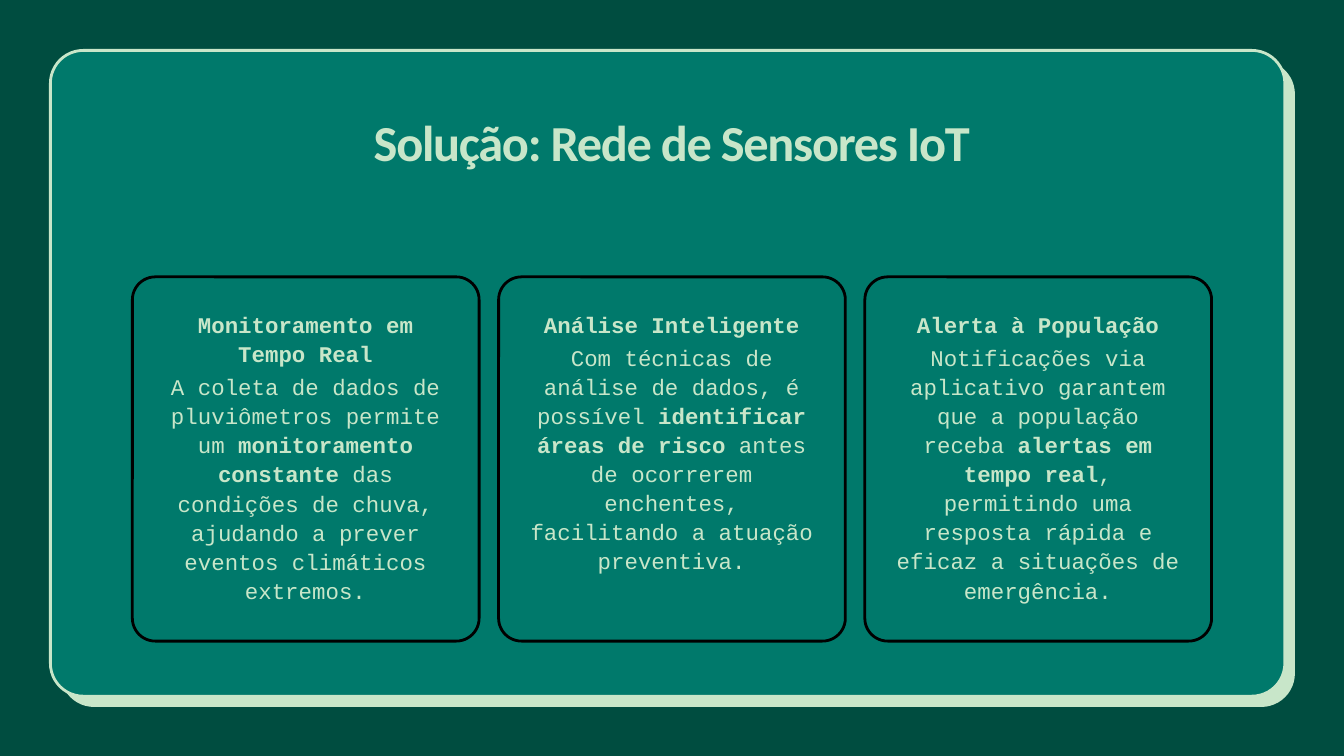
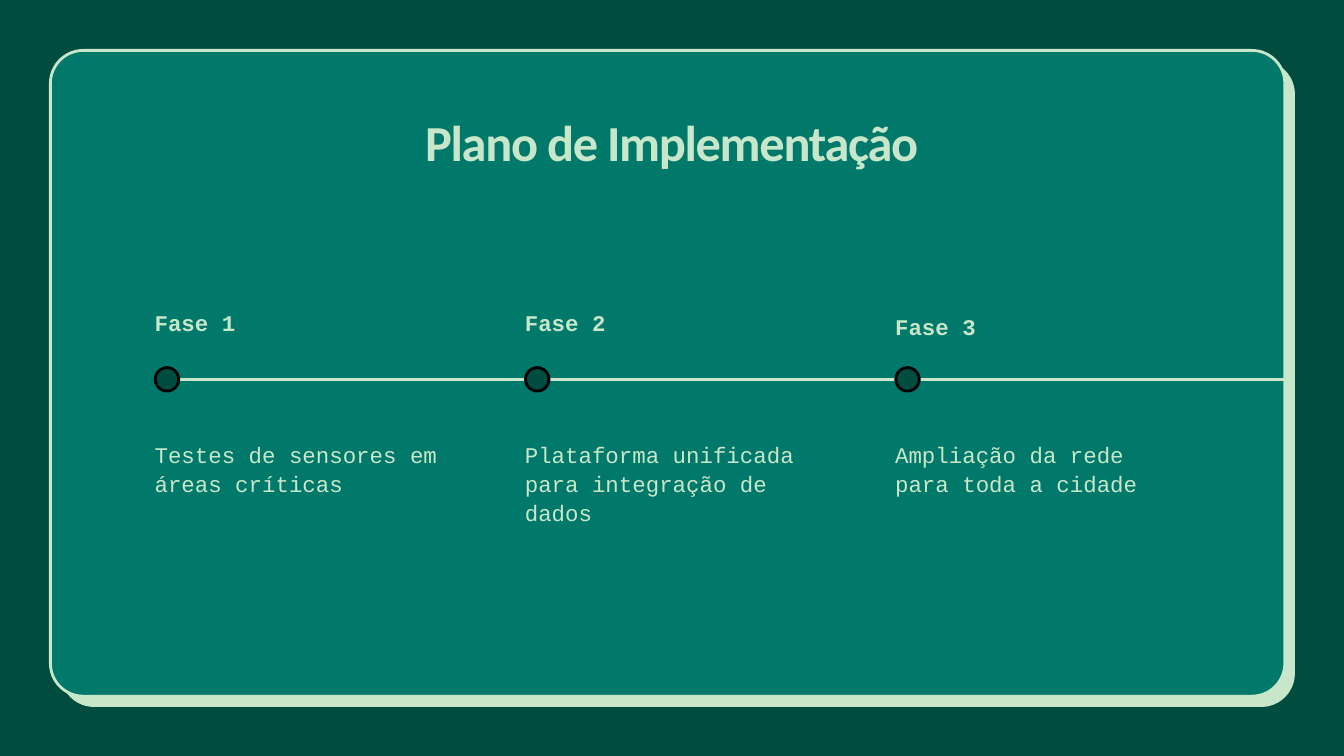
from lxml.etree import SubElement
from pptx import Presentation
from pptx.dml.color import RGBColor
from pptx.enum.shapes import MSO_CONNECTOR, MSO_SHAPE
from pptx.enum.text import PP_ALIGN
from pptx.oxml.ns import qn
from pptx.util import Inches, Pt

DARK, TEAL, MINT, BLACK = "004D40", "00796B", "C8E6C9", "000000"
color = RGBColor.from_string


def add_form(slide, kind, left, top, width, height, fill=None, line=None, radius=None):
    form = slide.shapes.add_shape(
        kind, Inches(left), Inches(top), Inches(width), Inches(height))
    form.shadow.inherit = False
    if fill:
        form.fill.solid()
        form.fill.fore_color.rgb = color(fill)
    else:
        form.fill.background()
    if line:
        form.line.color.rgb = color(line)
        form.line.width = Pt(3)
    else:
        form.line.fill.background()
    if radius:
        form.adjustments[0] = radius / min(width, height)


def add_text(slide, text, left, top, width, height, align=PP_ALIGN.LEFT,
             bold=False, font="Courier New", size=24, lead=31.2):
    box = slide.shapes.add_textbox(
        Inches(left), Inches(top), Inches(width), Inches(height))
    frame = box.text_frame
    frame.word_wrap = True
    frame.margin_left = frame.margin_right = 0
    frame.margin_top = frame.margin_bottom = 0
    para = frame.paragraphs[0]
    para.alignment = align
    para.line_spacing = Pt(lead)
    para.font.name = font
    para.font.size = Pt(size)
    para.font.color.rgb = color(MINT)
    para.font.bold = bold
    for i, part in enumerate(text.split("*")):
        run = para.add_run()
        run.text = part
        if i % 2:
            run.font.bold = True
    return para


deck = Presentation()
deck.slide_width = Inches(20)
deck.slide_height = Inches(11.25)

slides = []
for title in ["Solução: Rede de Sensores IoT", "Plano de Implementação"]:
    slide = deck.slides.add_slide(deck.slide_layouts[6])
    slide.background.fill.solid()
    slide.background.fill.fore_color.rgb = color(DARK)
    add_form(slide, MSO_SHAPE.ROUNDED_RECTANGLE, 0.9, 0.9, 18.37, 9.62,
             fill=MINT, radius=0.5)
    add_form(slide, MSO_SHAPE.ROUNDED_RECTANGLE, 0.75, 0.75, 18.37, 9.61,
             fill=TEAL, line=MINT, radius=0.49)
    head = add_text(slide, title, 2.3, 1.65, 15.39, 0.9, PP_ALIGN.CENTER,
                    bold=True, font="Calibri", size=54, lead=64.8)
    head.runs[0].font._element.set("spc", "-140")
    slides.append(slide)

sensors, plan = slides

cards = [
    ("Monitoramento em Tempo Real", 5.52,
     "A coleta de dados de pluviômetros permite um *monitoramento constante* "
     "das condições de chuva, ajudando a prever eventos climáticos extremos."),
    ("Análise Inteligente", 5.08,
     "Com técnicas de análise de dados, é possível *identificar áreas de risco* "
     "antes de ocorrerem enchentes, facilitando a atuação preventiva."),
    ("Alerta à População", 5.08,
     "Notificações via aplicativo garantem que a população receba "
     "*alertas em tempo real*, permitindo uma resposta rápida e eficaz "
     "a situações de emergência."),
]
for i, (name, top, body) in enumerate(cards):
    left = 1.97 + 5.45 * i
    add_form(sensors, MSO_SHAPE.ROUNDED_RECTANGLE, left, 4.12, 5.16, 5.42,
             line=BLACK, radius=0.34)
    add_text(sensors, body, left + 0.41, top, 4.33, 3, PP_ALIGN.CENTER)
    add_text(sensors, name, left + 0.41, 4.59, 4.33, top - 4.63,
             PP_ALIGN.CENTER, bold=True)

track = plan.shapes.add_connector(
    MSO_CONNECTOR.STRAIGHT, Inches(2.66), Inches(5.65), Inches(19.1), Inches(5.65))
track.line.color.rgb = color(MINT)
track.line.width = Pt(3)
SubElement(track._element.spPr, qn("a:effectLst"))

phases = [
    ("Fase 1", 4.56, "Testes de sensores em áreas críticas"),
    ("Fase 2", 4.56, "Plataforma unificada para integração de dados"),
    ("Fase 3", 4.62, "Ampliação da rede para toda a cidade"),
]
for i, (name, top, body) in enumerate(phases):
    left = 2.3 + 5.51 * i
    add_form(plan, MSO_SHAPE.OVAL, left + 0.01, 5.47, 0.35, 0.35,
             fill=DARK, line=BLACK)
    add_text(plan, body, left, 6.53, 4.38, 0.87)
    add_text(plan, name, left, top, 4.38, 0.43, bold=True)

deck.save("out.pptx")
